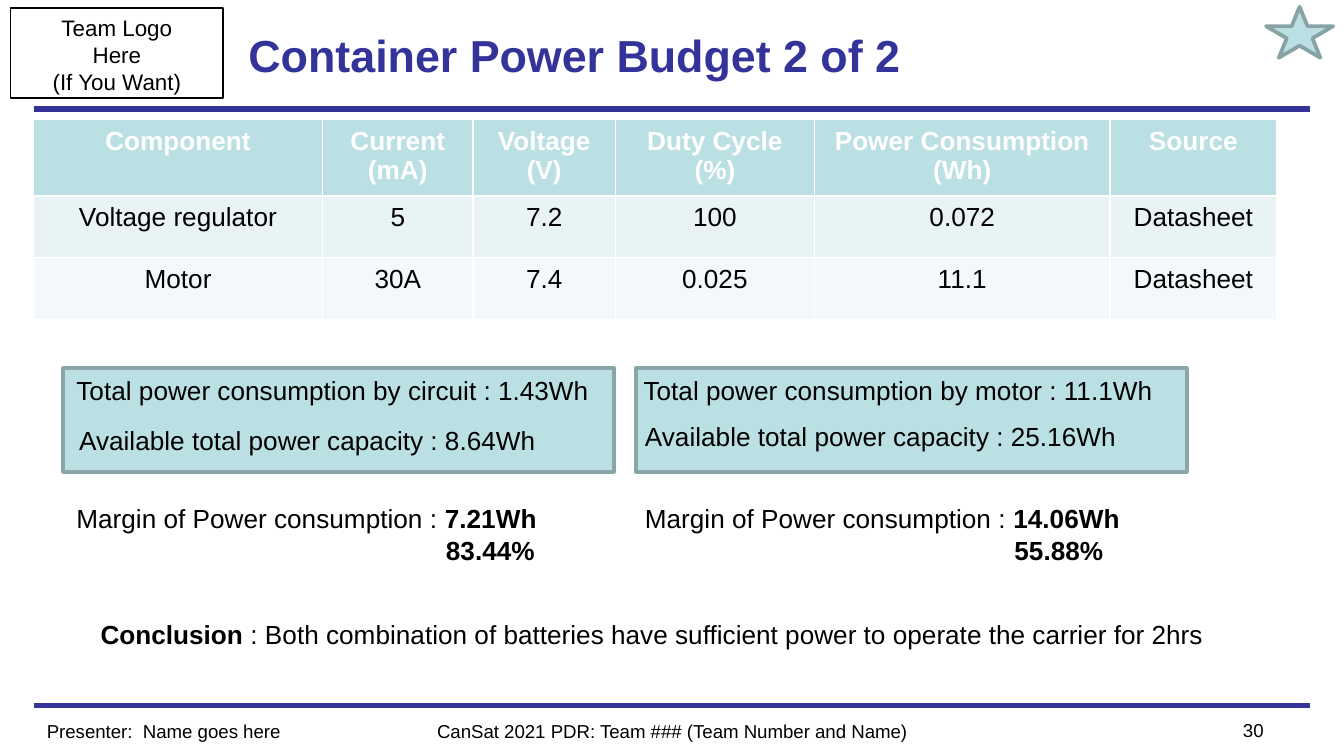
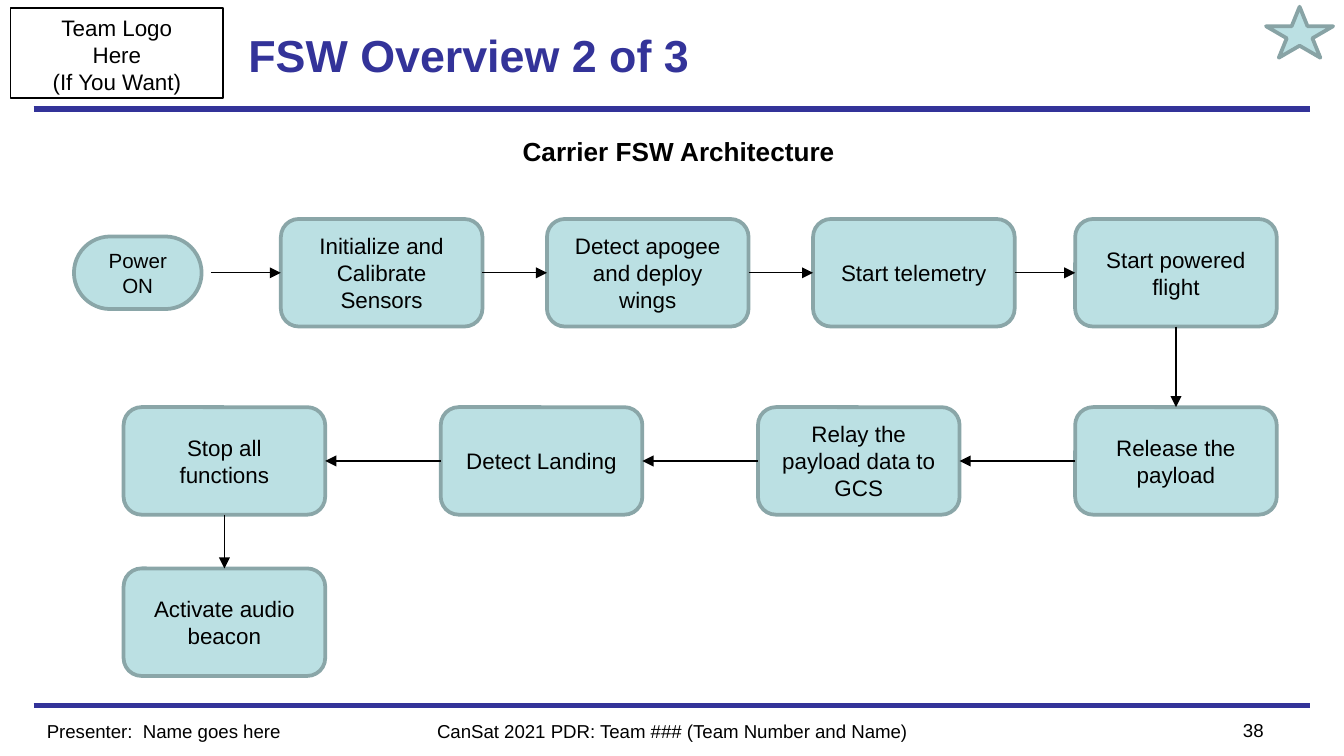
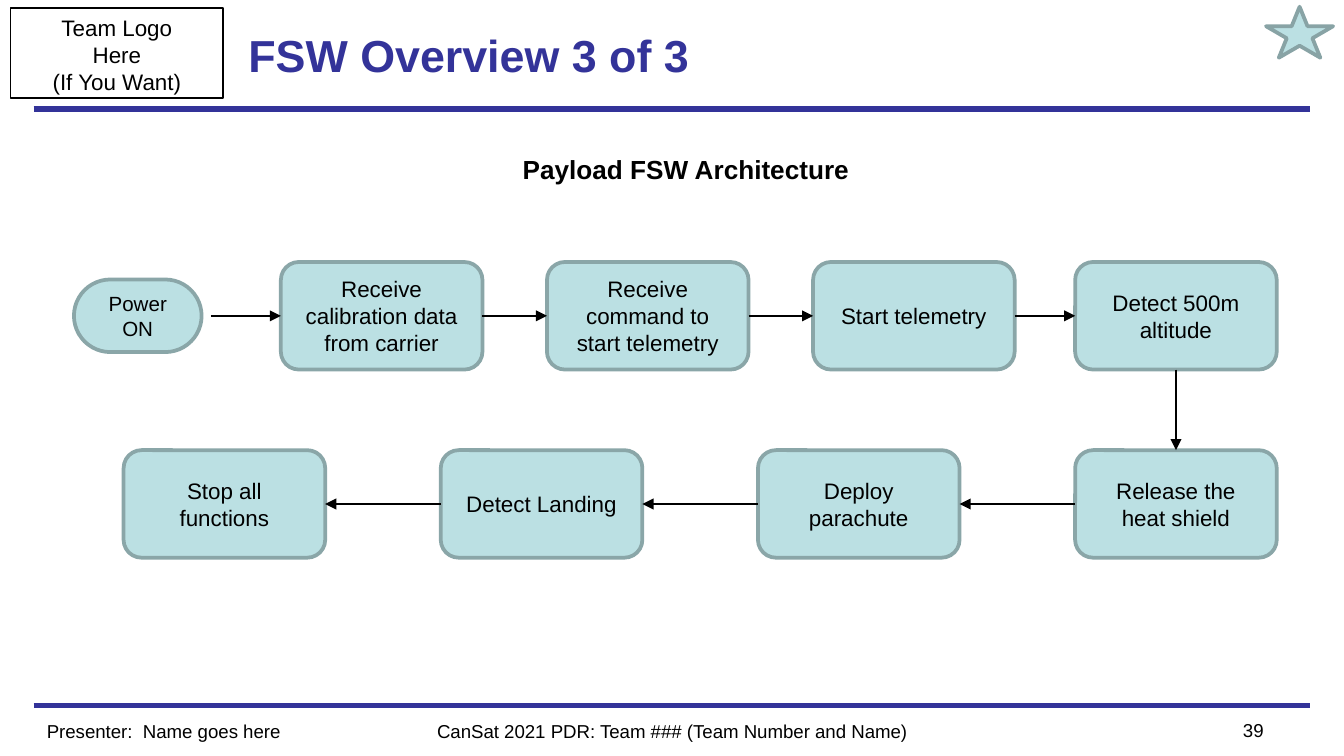
from itertools import pairwise

from lxml import etree
from pptx import Presentation
from pptx import util as u
from pptx.dml.color import RGBColor
from pptx.enum import shapes, text
from pptx.oxml import ns

presentation = Presentation()
presentation.slide_width = u.Inches(10)
presentation.slide_height = u.Inches(5.625)

# Square grid: 100 columns across the slide, rows of the same size
CELL = presentation.slide_width / 100
COLORS = {"navy": "333399", "aqua": "BBE0E3", "edge": "8AA6A8", "star_edge": "88A3A5",
          "odd_row": "E7F3F4", "even_row": "F3F9FA", "black": "000000", "white": "FFFFFF"}
LEFT, CENTER, RIGHT = text.PP_ALIGN.LEFT, text.PP_ALIGN.CENTER, text.PP_ALIGN.RIGHT
TOP, MIDDLE = text.MSO_ANCHOR.TOP, text.MSO_ANCHOR.MIDDLE
SHAPE = shapes.MSO_SHAPE
BODY = {"size": 14, "wrap": False}
PANEL = {"fill": "aqua", "line": "edge", "weight": 2}
NODE = {**PANEL, "size": 12, "align": CENTER, "anchor": MIDDLE}


def add_box(slide, kind, box, paragraphs=(), size=14, color="black", bold=False, align=LEFT,
            anchor=TOP, wrap=True, fill=None, line=None, weight=0.75):
    """Add a preset shape, or a text box if kind is None; a paragraph is a string or (text, bold) runs."""
    bounds = [round(value * CELL) for value in box]
    if kind is None:
        shape = slide.shapes.add_textbox(*bounds)
    else:
        shape = slide.shapes.add_shape(kind, *bounds)
        shape.shadow.inherit = False
        shape.fill.background()
    if fill:
        shape.fill.solid()
        shape.fill.fore_color.rgb = RGBColor.from_string(COLORS[fill])
    if line:
        shape.line.color.rgb = RGBColor.from_string(COLORS[line])
        shape.line.width = u.Pt(weight)
    frame = shape.text_frame
    frame.word_wrap, frame.vertical_anchor = wrap, anchor
    for index, runs in enumerate(paragraphs):
        paragraph = frame.add_paragraph() if index else frame.paragraphs[0]
        paragraph.alignment = align
        for words, strong in [(runs, bold)] if isinstance(runs, str) else runs:
            run = paragraph.add_run()
            run.text = words
            for name, value in {"name": "Arial", "size": u.Pt(size), "bold": strong}.items():
                setattr(run.font, name, value)
            run.font.color.rgb = RGBColor.from_string(COLORS[color])
    return shape


def add_line(slide, points, color="black", weight=0.75, begin=None, end=None, arrow=False):
    """Draw a straight line; begin and end are (shape, side) pairs to join."""
    connector = slide.shapes.add_connector(shapes.MSO_CONNECTOR.STRAIGHT,
                                           *[round(value * CELL) for value in points])
    connector.line.color.rgb = RGBColor.from_string(COLORS[color])
    connector.line.width = u.Pt(weight)
    if arrow:
        etree.SubElement(connector.line._get_or_add_ln(), ns.qn("a:tailEnd"), type="triangle")
    etree.SubElement(connector._element.spPr, ns.qn("a:effectLst"))
    if begin:
        connector.begin_connect(*begin)
    if end:
        connector.end_connect(*end)


# Shared frame of every slide
slides = []
for title, number in [("Container Power Budget 2 of 2", "30"),
                      ("FSW Overview 2 of 3", "38"),
                      ("FSW Overview 3 of 3", "39")]:
    slide = presentation.slides.add_slide(presentation.slide_layouts[6])
    for row in (52.5, 8.1):
        add_line(slide, (2.5, row, 97.5, row), "navy", 3)
    add_box(slide, SHAPE.RECTANGLE, (0.8, 0.6, 15.8, 6.7), ["Team Logo", "Here", "(If You Want)"],
            size=12, align=CENTER, line="black")
    add_box(slide, None, (17.5, 0.6, 65, 6.9), [title], size=24, color="navy", bold=True, anchor=MIDDLE)
    add_box(slide, SHAPE.STAR_5_POINT, (94.2, 0.5, 5, 3.8), fill="aqua", line="star_edge", weight=2)
    for box, words, align in [
            ((2.5, 53.1, 25, 2), "Presenter:  Name goes here", LEFT),
            ((30, 53.1, 40, 2), "CanSat 2021 PDR: Team ### (Team Number and Name)", CENTER),
            ((87.5, 53, 7.5, 2), number, RIGHT)]:
        add_box(slide, None, box, [words], size=10, align=align)
    slides.append(slide)
budget, carrier, payload = slides

# Power budget table
rows = [
    ["Component", "Current (mA)", "Voltage (V)", "Duty Cycle (%)", "Power Consumption (Wh)", "Source"],
    ["Voltage regulator", "5", "7.2", "100", "0.072", "Datasheet"],
    ["Motor", "30A", "7.4", "0.025", "11.1", "Datasheet"],
]
row_styles = [("aqua", "white", True), ("odd_row", "black", False), ("even_row", "black", False)]
table = budget.shapes.add_table(len(rows), len(rows[0]), *[round(value * CELL)
                                for value in (2.5, 8.9, 92.5, 14)]).table
for column, width in zip(table.columns, (21.5, 11.2, 10.6, 14.8, 22, 12.4)):
    column.width = round(width * CELL)
for row, height in zip(table.rows, (4.8, 4.6, 4.6)):
    row.height = round(height * CELL)
for row, values, (fill, color, bold) in zip(table.rows, rows, row_styles):
    for cell, value in zip(row.cells, values):
        cell.fill.solid()
        cell.fill.fore_color.rgb = RGBColor.from_string(COLORS[fill])
        cell.text = value
        paragraph = cell.text_frame.paragraphs[0]
        paragraph.alignment = CENTER
        font = paragraph.runs[0].font
        for name, value in {"name": "Arial", "size": u.Pt(14), "bold": bold}.items():
            setattr(font, name, value)
        font.color.rgb = RGBColor.from_string(COLORS[color])

# Totals and margins for the circuit and the motor
for panel_left, total_box, capacity_box, margin_left, source, total, capacity, margin, share in [
        (4.7, (4.7, 27.4, 41.1, 3.4), (4.9, 31.1, 36.7, 3.4), 4.7,
         "circuit", "1.43Wh", "8.64Wh", "7.21Wh", "83.44%"),
        (47.3, (46.9, 27.4, 41, 3.4), (47, 30.8, 37.8, 3.4), 47,
         "motor", "11.1Wh", "25.16Wh", "14.06Wh", "55.88%")]:
    add_box(budget, SHAPE.RECTANGLE, (panel_left, 27.4, 41, 7.7), **PANEL)
    add_box(budget, None, total_box, [f"Total power consumption by {source} : {total}"], **BODY)
    add_box(budget, None, capacity_box, [f"Available total power capacity : {capacity}"], **BODY)
    margin_text = add_box(budget, None, (margin_left, 36.9, 37.4, 5.7),
                          [[("Margin of Power consumption : ", False), (margin, True)],
                           [(share, True)]], **BODY)
    share_paragraph = margin_text.text_frame.paragraphs[1]
    share_paragraph._p.get_or_add_pPr().set("marL", str(round(27.5 * CELL)))

add_box(budget, None, (6.5, 45.5, 84.4, 3.4),
        [[("Conclusion", True),
          (" : Both combination of batteries have sufficient power to operate the carrier for 2hrs", False)]],
        **BODY)

# Software flow charts: first row runs right, second row runs back left
NODE_WIDTH, NODE_HEIGHT, ROW_STEP = 15, 8, 14
first_row = [20.9, 40.7, 60.5, 80]
second_row = [80 - 23.6 * index for index in range(4)]
spots = [(left, 0) for left in first_row] + [(left, ROW_STEP) for left in second_row]
spots.append((second_row[-1], ROW_STEP + 12))
# Side left and side entered on each step (0 top, 1 left, 2 bottom, 3 right)
sides = [(3, 1)] * 3 + [(2, 0)] + [(1, 3)] * 3 + [(2, 0)]

for slide, heading, heading_box, flow_top, steps in [
        (carrier, "Carrier FSW Architecture", (37.9, 9.6, 26, 3.4), 16.3,
         ["Initialize and Calibrate Sensors", "Detect apogee and deploy wings", "Start telemetry",
          "Start powered flight", "Release the payload", "Relay the payload data to GCS",
          "Detect Landing", "Stop all functions", "Activate audio beacon"]),
        (payload, "Payload FSW Architecture", (37.9, 10.9, 27.1, 3.4), 19.5,
         ["Receive calibration data from carrier", "Receive command to start telemetry",
          "Start telemetry", "Detect 500m altitude", "Release the heat shield",
          "Deploy parachute", "Detect Landing", "Stop all functions"])]:
    add_box(slide, None, heading_box, [heading], bold=True, **BODY)
    start = add_box(slide, SHAPE.ROUNDED_RECTANGLE, (5.5, flow_top + 1.3, 9.5, 5.4),
                    ["Power ON"], **{**NODE, "size": 11})
    start.adjustments[0] = 0.5
    nodes = [add_box(slide, SHAPE.ROUNDED_RECTANGLE, (left, flow_top + drop, NODE_WIDTH, NODE_HEIGHT),
                     [step], **NODE)
             for step, (left, drop) in zip(steps, spots)]
    middle = flow_top + NODE_HEIGHT / 2
    add_line(slide, (15.7, middle, first_row[0], middle), end=(nodes[0], 1), arrow=True)
    for (source, target), (leave, enter) in zip(pairwise(nodes), sides):
        add_line(slide, (0, 0, 1, 1), begin=(source, leave), end=(target, enter), arrow=True)

presentation.save("out.pptx")
